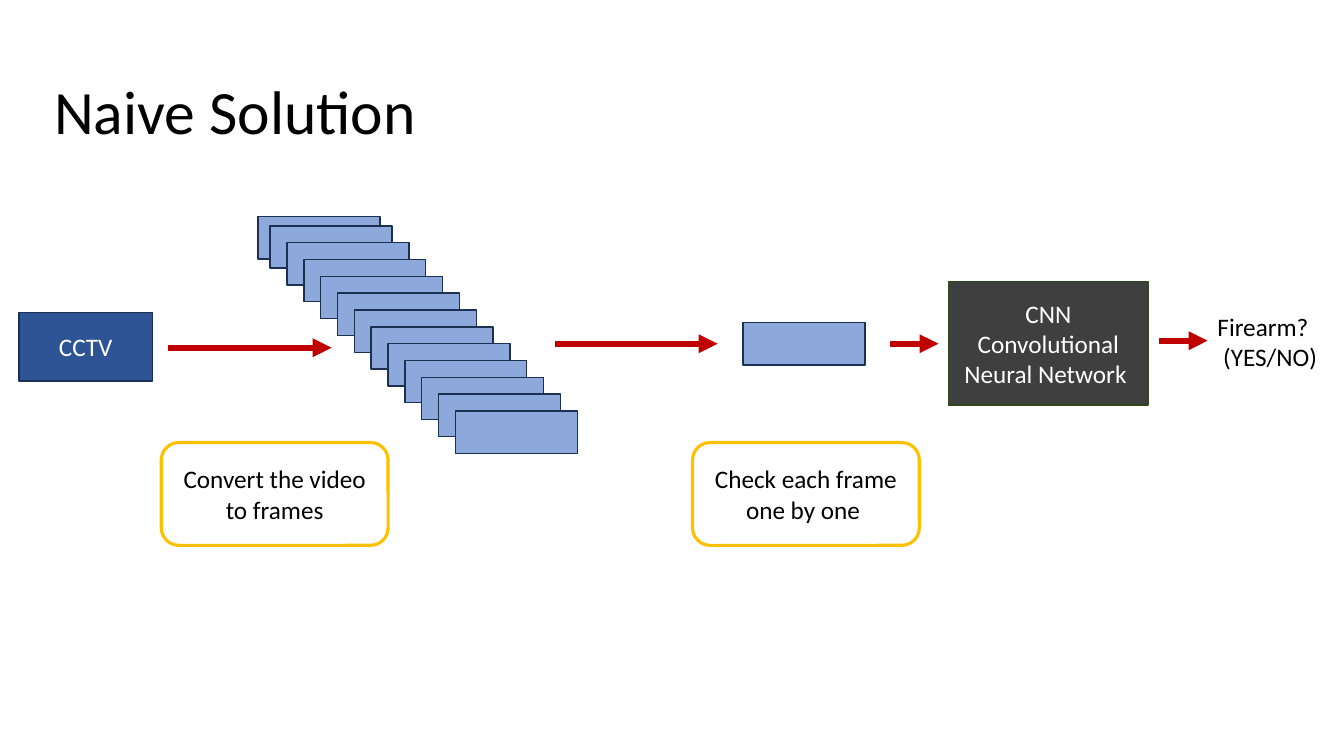
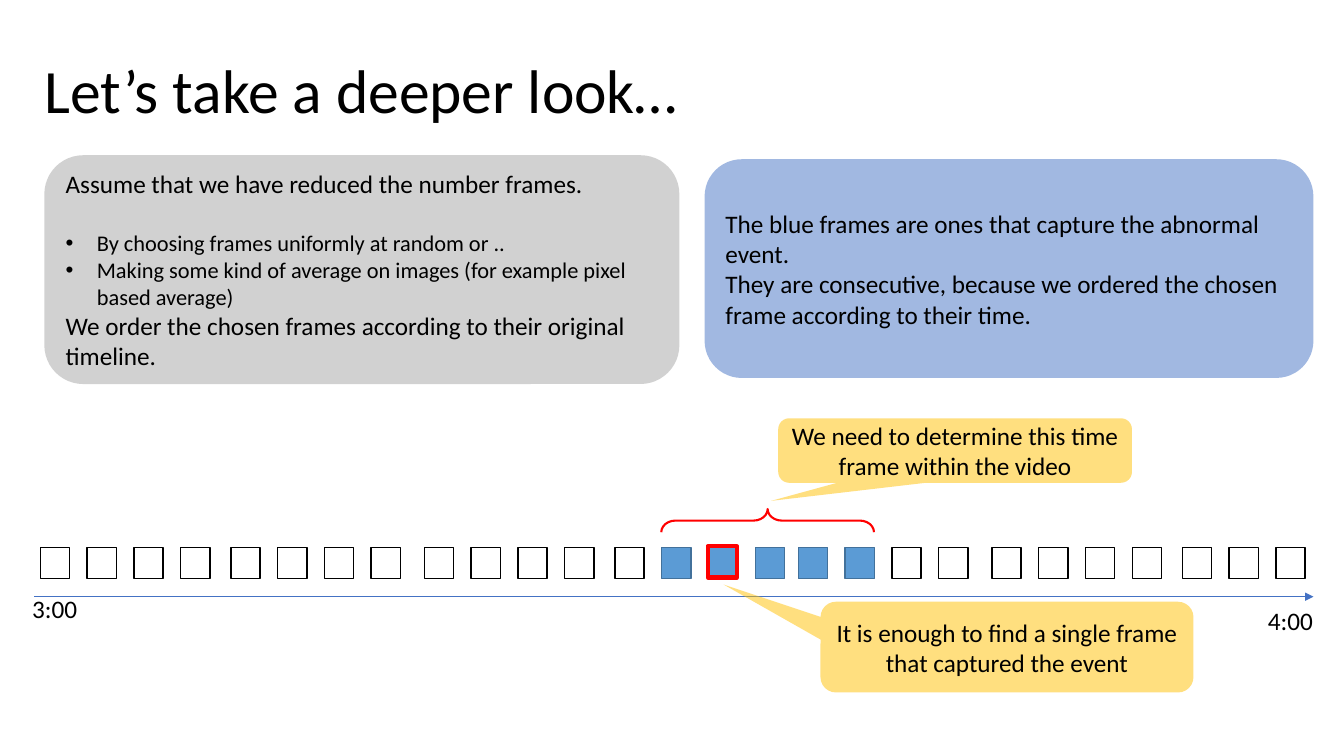
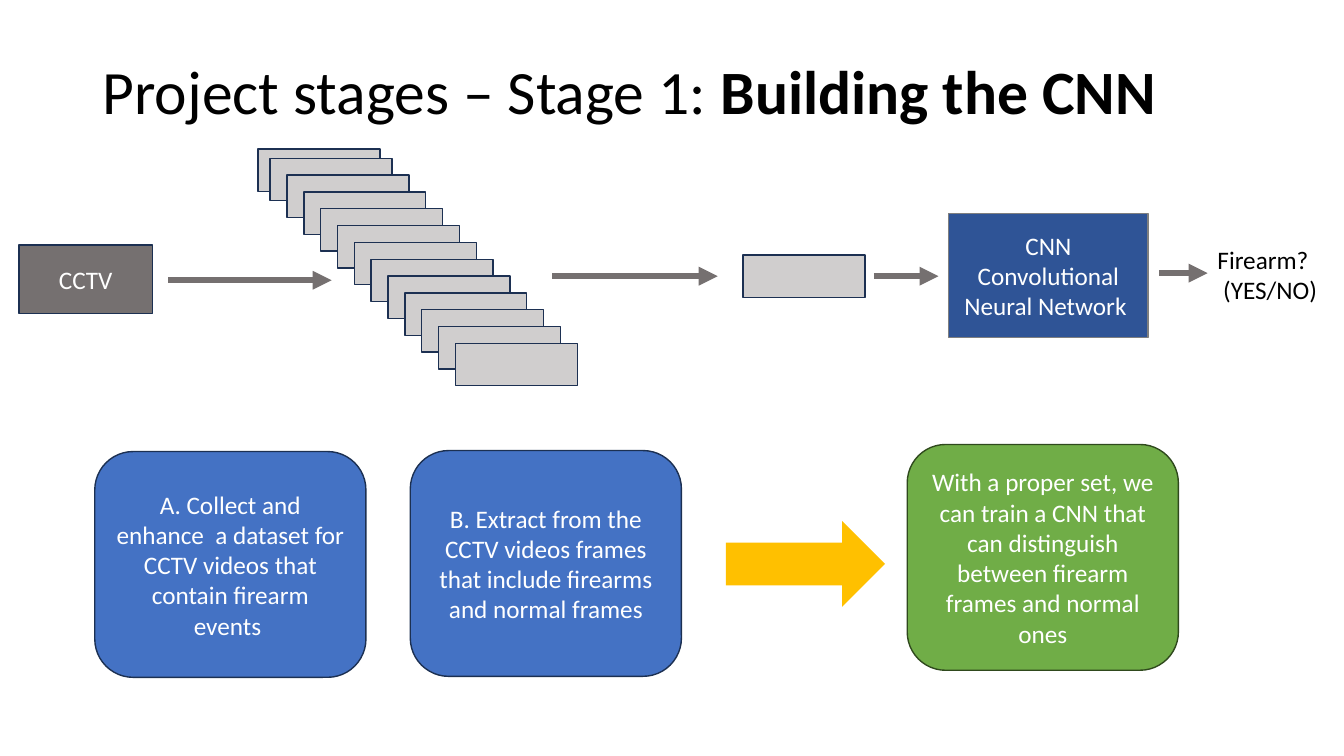
from dataclasses import dataclass

from lxml import etree
from pptx import Presentation
from pptx.dml.color import RGBColor
from pptx.enum.shapes import MSO_CONNECTOR, MSO_SHAPE
from pptx.enum.text import MSO_ANCHOR, PP_ALIGN
from pptx.oxml.ns import qn
from pptx.util import Inches, Pt

RECTANGLE = MSO_SHAPE.RECTANGLE
ROUNDED = MSO_SHAPE.ROUNDED_RECTANGLE
CALLOUT = MSO_SHAPE.ROUNDED_RECTANGULAR_CALLOUT
BRACE = MSO_SHAPE.LEFT_BRACE
BLOCK_ARROW = MSO_SHAPE.RIGHT_ARROW
STRAIGHT = MSO_CONNECTOR.STRAIGHT
LEFT, CENTER = PP_ALIGN.LEFT, PP_ALIGN.CENTER
TOP, MIDDLE = MSO_ANCHOR.TOP, MSO_ANCHOR.MIDDLE

BLACK = RGBColor(0x00, 0x00, 0x00)
WHITE = RGBColor(0xFF, 0xFF, 0xFF)
NAVY = RGBColor(0x1C, 0x30, 0x52)
DEEP_BLUE = RGBColor(0x2F, 0x54, 0x96)
BLUE = RGBColor(0x44, 0x72, 0xC4)
PALE_BLUE = RGBColor(0x8D, 0xA9, 0xDB)
EVENT_BLUE = RGBColor(0x5B, 0x9B, 0xD5)
EVENT_EDGE = RGBColor(0x42, 0x71, 0x9B)
GREEN = RGBColor(0x70, 0xAD, 0x47)
DARK_GREEN = RGBColor(0x2F, 0x49, 0x1D)
AMBER = RGBColor(0xFF, 0xC0, 0x00)
RED = RGBColor(0xFF, 0x00, 0x00)
DARK_RED = RGBColor(0xC0, 0x00, 0x00)
CHARCOAL = RGBColor(0x3F, 0x3F, 0x3F)
WARM_GREY = RGBColor(0x75, 0x70, 0x70)
MID_GREY = RGBColor(0x7F, 0x7F, 0x7F)
GREY = RGBColor(0xA5, 0xA5, 0xA5)
LIGHT_GREY = RGBColor(0xD0, 0xCE, 0xCE)

FONT = "Calibri"
CELL = Inches(0.1)
COLUMNS, ROWS = 133.33, 75
ROUNDING = 0.17
FRAME_SIZE = (12.1, 4.2)
STACK_STEP = 1.67
STACK_LENGTH = 12


@dataclass
class PipelineStyle:
    """Colours of one drawing of the detection pipeline."""

    camera: RGBColor
    frame: RGBColor
    arrow: RGBColor
    network: RGBColor
    network_edge: RGBColor


def grid(*cells):
    """Turn grid cells into slide lengths."""
    return [int(cell * CELL) for cell in cells]


def add_text(shape, text, size=18, color=BLACK, align=LEFT, anchor=MIDDLE,
             bold_tail="", bullet=False, line_spacing=None, space_after=0):
    """Append one paragraph per line of text to a shape."""
    frame = shape.text_frame
    frame.word_wrap = True
    frame.vertical_anchor = anchor
    for line in text.split("\n"):
        paragraph = frame.add_paragraph() if frame.text else frame.paragraphs[0]
        paragraph.alignment = align
        paragraph.line_spacing = line_spacing
        paragraph.space_after = Pt(space_after)
        for part, bold in ((line, False), (bold_tail, True)):
            if part:
                run = paragraph.add_run()
                run.text = part
                run.font.name = FONT
                run.font.size = Pt(size)
                run.font.bold = bold
                run.font.color.rgb = color
        if bullet:
            properties = paragraph._p.get_or_add_pPr()
            indent = Inches(0.31)
            properties.set("marL", str(indent))
            properties.set("indent", str(-indent))
            etree.SubElement(properties, qn("a:buFont"), typeface="Arial")
            etree.SubElement(properties, qn("a:buChar"), char="•")


def add_textbox(slide, box, text, **text_format):
    """Place plain text on the grid."""
    add_text(slide.shapes.add_textbox(*grid(*box)), text, **text_format)


def add_title(slide, left, top, text, bold_tail=""):
    """Place a slide title in the shared style."""
    add_textbox(slide, (left, top, 115, 14.5), text, size=44,
                bold_tail=bold_tail, line_spacing=0.9)


def add_box(slide, kind, box, fill=None, edge=None, width=1, alpha=None,
            adjust=()):
    """Draw a preset shape on the grid and return it."""
    shape = slide.shapes.add_shape(kind, *grid(*box))
    shape.shadow.inherit = False
    for index, value in enumerate(adjust):
        shape.adjustments[index] = value
    if fill is None:
        shape.fill.background()
    else:
        shape.fill.solid()
        shape.fill.fore_color.rgb = fill
    if alpha is not None:
        tint = shape._element.spPr.find(qn("a:solidFill"))[0]
        etree.SubElement(tint, qn("a:alpha"), val=str(alpha * 1000))
    if edge is None:
        shape.line.fill.background()
    else:
        shape.line.color.rgb = edge
        shape.line.width = Pt(width)
    return shape


def add_label(slide, kind, box, text, color=BLACK, align=CENTER, **look):
    """Draw a preset shape that carries text."""
    add_text(add_box(slide, kind, box, **look), text, color=color, align=align)


def add_arrow(slide, start, end, row, color, width=4.5):
    """Draw a level arrow from one column to another."""
    arrow = slide.shapes.add_connector(STRAIGHT, *grid(start, row, end, row))
    arrow.line.color.rgb = color
    arrow.line.width = Pt(width)
    etree.SubElement(arrow.line._get_or_add_ln(), qn("a:tailEnd"),
                     type="triangle")
    etree.SubElement(arrow._element.spPr, qn("a:effectLst"))


def add_frame_stack(slide, top, color):
    """Draw the cascade of video frames."""
    corners = [(25.6, top)]
    corners += [(26.8 + step * STACK_STEP, top + 0.9 + step * STACK_STEP)
                for step in range(STACK_LENGTH)]
    for corner in corners:
        add_box(slide, RECTANGLE, (*corner, *FRAME_SIZE), color, NAVY)


def add_pipeline(slide, top, style, stack_exit, network_entry):
    """Draw the way from the camera over frames and network to the answer."""
    add_label(slide, RECTANGLE, (1.9, top + 9.5, 13.2, 6.8), "CCTV", WHITE,
              fill=style.camera, edge=NAVY)
    add_frame_stack(slide, top, style.frame)
    add_box(slide, RECTANGLE, (73.7, top + 10.5, *FRAME_SIZE), style.frame,
            NAVY)
    add_label(slide, RECTANGLE, (94.1, top + 6.4, 19.8, 12.3),
              "CNN\nConvolutional Neural Network ", WHITE,
              fill=style.network, edge=style.network_edge)
    add_textbox(slide, (119.8, top + 8.9, 12.6, 7.2), "Firearm?\n (YES/NO)",
                anchor=TOP)
    for start, end, drop in ((16.7, 32.9, 13), (stack_exit, 71.2, 12.6),
                             (network_entry, 93.1, 12.6), (115, 119.8, 12.3)):
        add_arrow(slide, start, end, top + drop, style.arrow)


def add_timeline(slide):
    """Draw the ordered frames above the time axis, the event in blue."""
    group_starts = (4, 22.9, 42.1, 61, 79.2, 98.4, 117.3)
    lefts = [start + 4.64 * place for start in group_starts
             for place in range(4)][:27]
    event = range(13, 18)
    for number, left in enumerate(lefts):
        fill, edge = ((EVENT_BLUE, EVENT_EDGE) if number in event
                      else (WHITE, BLACK))
        add_box(slide, RECTANGLE, (left, 54.3, 2.9, 3.1), fill, edge)
    add_box(slide, RECTANGLE, (70.2, 54.2, 2.9, 3.1), edge=RED, width=3)
    add_arrow(slide, 3.4, 130.3, 59.2, BLUE, width=0.75)
    for left, top, time in ((2.2, 58.4, "3:00"), (124.8, 59.6, "4:00")):
        add_textbox(slide, (left, top, 6.5, 4), time, anchor=TOP)


def build_naive_solution(slide):
    """Show the frame by frame check."""
    add_title(slide, 4.4, 4.1, "Naive Solution")
    style = PipelineStyle(DEEP_BLUE, PALE_BLUE, DARK_RED, CHARCOAL, DARK_GREEN)
    add_pipeline(slide, 21.5, style, stack_exit=55.1, network_entry=88.3)
    for left, note in ((16, "Convert the video to frames"),
                       (68.7, "Check each frame one by one ")):
        add_label(slide, ROUNDED, (left, 43.9, 22.5, 10.2), note,
                  edge=AMBER, width=2.25, adjust=[ROUNDING])


def build_deeper_look(slide):
    """Show the event inside the ordered frames."""
    add_title(slide, 3.4, 2, "Let’s take a deeper look…")
    add_timeline(slide)
    brace = add_box(slide, BRACE, (75, 41.1, 2.3, 21.1), edge=RED, width=1.5,
                    adjust=(0.61, 0.5))
    brace.rotation = 90
    for box, tip, note in (
            ((77.2, 41.5, 35.1, 6.4), (-0.52, 0.78),
             "We need to determine this time frame within the video"),
            ((81.4, 59.7, 37, 9), (-0.76, -0.69),
             "It is enough to find a single frame that captured the event")):
        add_label(slide, CALLOUT, box, note, fill=AMBER, alpha=50,
                  adjust=(*tip, ROUNDING))
    assumption = add_box(slide, ROUNDED, (4.4, 15.4, 63, 22.7), GREY,
                         alpha=50, adjust=[ROUNDING])
    add_text(assumption, "Assume that we have reduced the number frames.",
             space_after=22)
    add_text(assumption, "By choosing frames uniformly at random or ..\n"
             "Making some kind of average on images "
             "(for example pixel based average)", size=16, bullet=True)
    add_text(assumption, "We order the chosen frames according to their "
             "original timeline.")
    add_label(slide, ROUNDED, (69.9, 15.8, 60.4, 21.7),
              "The blue frames are ones that capture the abnormal event.\n"
              "They are consecutive, because we ordered the chosen frame "
              "according to their time.", align=LEFT, fill=BLUE, alpha=50,
              adjust=[ROUNDING])


def build_first_stage(slide):
    """Show how the network is prepared."""
    add_title(slide, 9.2, 2.1, "Project stages – Stage 1: ",
              bold_tail="Building the CNN")
    style = PipelineStyle(WARM_GREY, LIGHT_GREY, WARM_GREY, DEEP_BLUE, MID_GREY)
    add_pipeline(slide, 14.8, style, stack_exit=54.8, network_entry=86.7)
    for left, top, fill, edge, step in (
            (9.4, 44.8, BLUE, NAVY,
             "A. Collect and enhance  a dataset for CCTV videos that contain "
             "firearm events "),
            (40.7, 44.7, BLUE, NAVY,
             "B. Extract from the CCTV videos frames that include firearms "
             "and normal frames"),
            (90, 44.1, GREEN, DARK_GREEN,
             "With a proper set, we can train a CNN that can distinguish "
             "between firearm frames and normal ones")):
        add_label(slide, ROUNDED, (left, top, 26.9, 22.4), step, WHITE,
                  fill=fill, edge=edge, adjust=[ROUNDING])
    add_box(slide, BLOCK_ARROW, (72, 51.7, 15.8, 8.5), AMBER)


def main():
    """Build the three slides and save them."""
    deck = Presentation()
    deck.slide_width, deck.slide_height = grid(COLUMNS, ROWS)
    blank = deck.slide_layouts[6]
    for build in (build_naive_solution, build_deeper_look, build_first_stage):
        build(deck.slides.add_slide(blank))
    deck.save("out.pptx")


if __name__ == "__main__":
    main()
